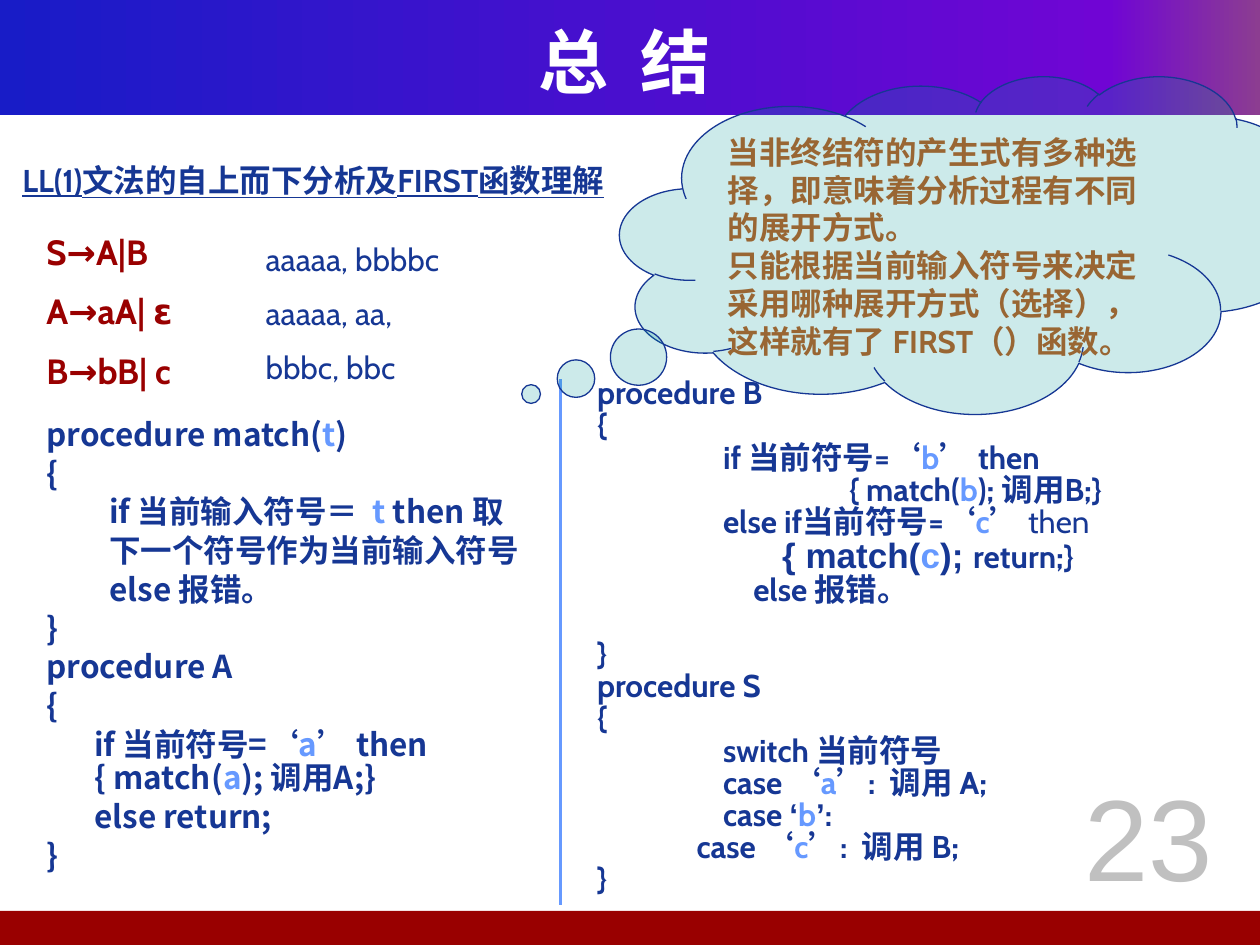
"""Summary slide: LL(1) top-down parsing and the FIRST function."""
from lxml import etree
from pptx import Presentation
from pptx.dml.color import RGBColor
from pptx.enum import shapes, text
from pptx.oxml import parse_xml
from pptx.oxml.ns import nsdecls, qn
from pptx.util import Inches, Pt

NAVY = RGBColor(0x16, 0x37, 0x94)
SKY = RGBColor(0x66, 0x99, 0xFF)
RED = RGBColor(0x99, 0x00, 0x00)
BROWN = RGBColor(0x99, 0x66, 0x33)
TEAL = RGBColor(0x00, 0x99, 0x99)
SILVER = RGBColor(0xC0, 0xC0, 0xC0)
WHITE = RGBColor(0xFF, 0xFF, 0xFF)
BANNER_STOPS = [(0, "181CC7"), (88, "7005D4"), (100, "8C3D91")]
CJK = "Noto Sans CJK SC"
ACCENT = {"color": SKY}
ARIAL = {"font": "Arial"}


def accent(symbol):
    return symbol, ACCENT


def quoted(symbol):
    return [("‘", ARIAL), accent(symbol), ("’", ARIAL)]


MATCH_AND_A = [
    (0, ["procedure match(", accent("t"), ")"]),
    (0, ["{"]),
    (0.5, ["if 当前输入符号＝  ", accent("t"), " then 取"]),
    (0.5, ["下一个符号作为当前输入符号"]),
    (0.5, ["else 报错。"]),
    (0, ["}"]),
    (0, ["procedure A"]),
    (0, ["{"]),
    (0.38, ["if 当前符号=‘", accent("a"), "’ then \t{ match(", accent("a"), "); 调用A;}"]),
    (0.38, ["else return;"]),
    (0, ["}"]),
]
BIG = {"font": "Arial", "size": 20}
B_BODY = [
    (0, ["procedure B"]),
    (0, ["{"]),
    (1, ["if 当前符号=", *quoted("b"), " then"]),
    (2, ["{ match(", accent("b"), "); 调用B;}"]),
    (1, ["else if当前符号=", *quoted("c"), (" then", {"bold": False})]),
    (1.47, [("{ match(", BIG), ("c", {**BIG, **ACCENT}), ("); ", BIG), "return;}"]),
    (1.24, ["else 报错。"]),
]
S_BODY = [
    (0, ["}"]),
    (0, ["procedure S"]),
    (0, ["{"]),
    (1, ["switch 当前符号"]),
    (1, ["case ", *quoted("a"), ":  调用 A;"]),
    (1, ["case ", *quoted("b"), ":"]),
    (0.79, ["case ", *quoted("c"), ":  调用 B;"]),
    (0, ["}"]),
]


def plain(*lines):
    return [(0, [line]) for line in lines]


def add_run(paragraph, words, size, color, font="Cabin", bold=False, underline=False):
    """Add one run with Latin and East Asian fonts."""
    run = paragraph.add_run()
    run.text = words
    run.font.size = Pt(size)
    run.font.name = font
    run.font.bold = bold
    if underline:
        run.font.underline = True
    run.font.color.rgb = color
    latin = run.font._element.find(qn("a:latin"))
    latin.addnext(parse_xml(f'<a:ea {nsdecls("a")} typeface="{CJK}"/>'))


def write(frame, lines, align=text.PP_ALIGN.LEFT, spacing=None, gap=0, **style):
    """Write (indent, segments) lines with a shared run style."""
    frame.word_wrap = True
    for number, (indent, segments) in enumerate(lines):
        paragraph = frame.add_paragraph() if number else frame.paragraphs[0]
        paragraph.alignment = align
        if spacing:
            paragraph.line_spacing = spacing
        if number and gap:
            paragraph.space_before = Pt(gap)
        properties = paragraph._p.get_or_add_pPr()
        properties.set("marL", str(Inches(indent)))
        properties.set("indent", "0")
        for segment in segments:
            words, change = (segment, {}) if isinstance(segment, str) else segment
            add_run(paragraph, words, **{**style, **change})


def add_text(slide, box, lines, anchor=text.MSO_ANCHOR.TOP, **style):
    frame = slide.shapes.add_textbox(*map(Inches, box)).text_frame
    frame.vertical_anchor = anchor
    write(frame, lines, **style)
    return frame


def add_bar(slide, box):
    bar = slide.shapes.add_shape(shapes.MSO_SHAPE.RECTANGLE, *map(Inches, box))
    bar.shadow.inherit = False
    bar.line.fill.background()
    return bar


def add_banner(slide):
    """Add the top band with its three-colour gradient."""
    banner = add_bar(slide, (0, 0, 10, 0.91))
    banner.fill.gradient()
    banner.fill.gradient_angle = 0
    stops = banner._element.spPr.find(".//" + qn("a:gsLst"))
    for stop in list(stops):
        stops.remove(stop)
    for percent, color in BANNER_STOPS:
        stop = etree.SubElement(stops, qn("a:gs"), pos=str(percent * 1000))
        etree.SubElement(stop, qn("a:srgbClr"), val=color)


def add_divider(slide):
    divider = slide.shapes.add_connector(
        shapes.MSO_CONNECTOR.STRAIGHT, Inches(4.45), Inches(3.01), Inches(4.45), Inches(7.18))
    divider.line.color.rgb = SKY
    divider.line.width = Pt(2)
    etree.SubElement(divider._element.spPr, qn("a:effectLst"))


def add_cloud(slide):
    """Add the translucent cloud explaining why FIRST is needed."""
    cloud = slide.shapes.add_shape(
        shapes.MSO_SHAPE.CLOUD_CALLOUT, *map(Inches, (4.92, 0.6, 5.51, 2.68)))
    cloud.adjustments[0], cloud.adjustments[1] = -0.628, 0.443
    cloud.shadow.inherit = False
    cloud.fill.solid()
    cloud.fill.fore_color.rgb = TEAL
    tint = cloud._element.spPr.find(qn("a:solidFill")).find(qn("a:srgbClr"))
    etree.SubElement(tint, qn("a:alpha"), val="20000")
    cloud.line.color.rgb = NAVY
    cloud.line.width = Pt(0.75)
    cloud.text_frame.vertical_anchor = text.MSO_ANCHOR.TOP
    write(cloud.text_frame, plain(
        "当非终结符的产生式有多种选择，即意味着分析过程有不同的展开方式。",
        "只能根据当前输入符号来决定采用哪种展开方式（选择），这样就有了 FIRST（）函数。"),
        size=18, color=BROWN, bold=True)


def main():
    deck = Presentation()
    deck.slide_width, deck.slide_height = Inches(10), Inches(7.5)
    slide = deck.slides.add_slide(deck.slide_layouts[6])
    center = text.PP_ALIGN.CENTER
    add_banner(slide)
    footer = add_bar(slide, (-0.04, 7.23, 10.04, 0.27))
    footer.fill.solid()
    footer.fill.fore_color.rgb = RED
    add_text(slide, (0.33, 0.17, 9.25, 0.62), plain("总  结"), text.MSO_ANCHOR.MIDDLE,
             align=center, size=40, color=WHITE, font=CJK, bold=True)
    add_text(slide, (0.27, 3.28, 4.1, 3.91), MATCH_AND_A, spacing=Pt(18.9), gap=3.3,
             size=18, color=NAVY, font=CJK, bold=True)
    add_text(slide, (8.23, 6.03, 1.77, 1.42), plain("23"),
             align=center, size=66, color=SILVER, font="Arial")
    procedures = add_text(slide, (4.64, 2.96, 5.36, 4.21), B_BODY + S_BODY,
                          spacing=0.85, size=18, color=NAVY, bold=True)
    procedures.paragraphs[len(B_BODY)].space_before = Pt(18.4)
    add_divider(slide)
    add_text(slide, (0.27, 1.78, 1.97, 1.43), plain("S→A|B", "A→aA| ε", "B→bB| c"),
             gap=10, size=20, color=RED, bold=True)
    add_text(slide, (2.01, 1.86, 3.23, 1.3), plain("aaaaa, bbbbc", "aaaaa, aa,", "bbbc, bbc"),
             gap=9, size=18, color=NAVY)
    add_cloud(slide)
    add_text(slide, (0.08, 1.23, 5.71, 0.4), plain("LL(1)文法的自上而下分析及FIRST函数理解"),
             size=18, color=NAVY, bold=True, underline=True)
    deck.save("out.pptx")


if __name__ == "__main__":
    main()
